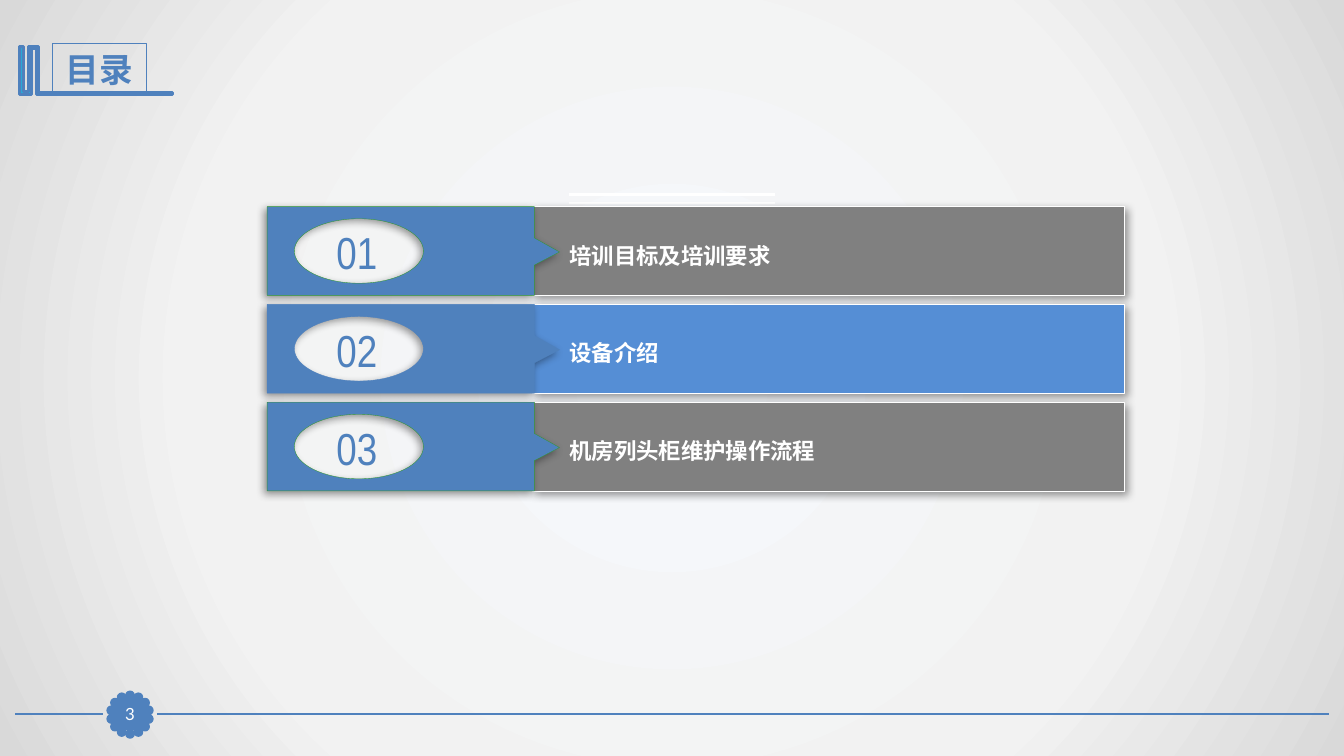
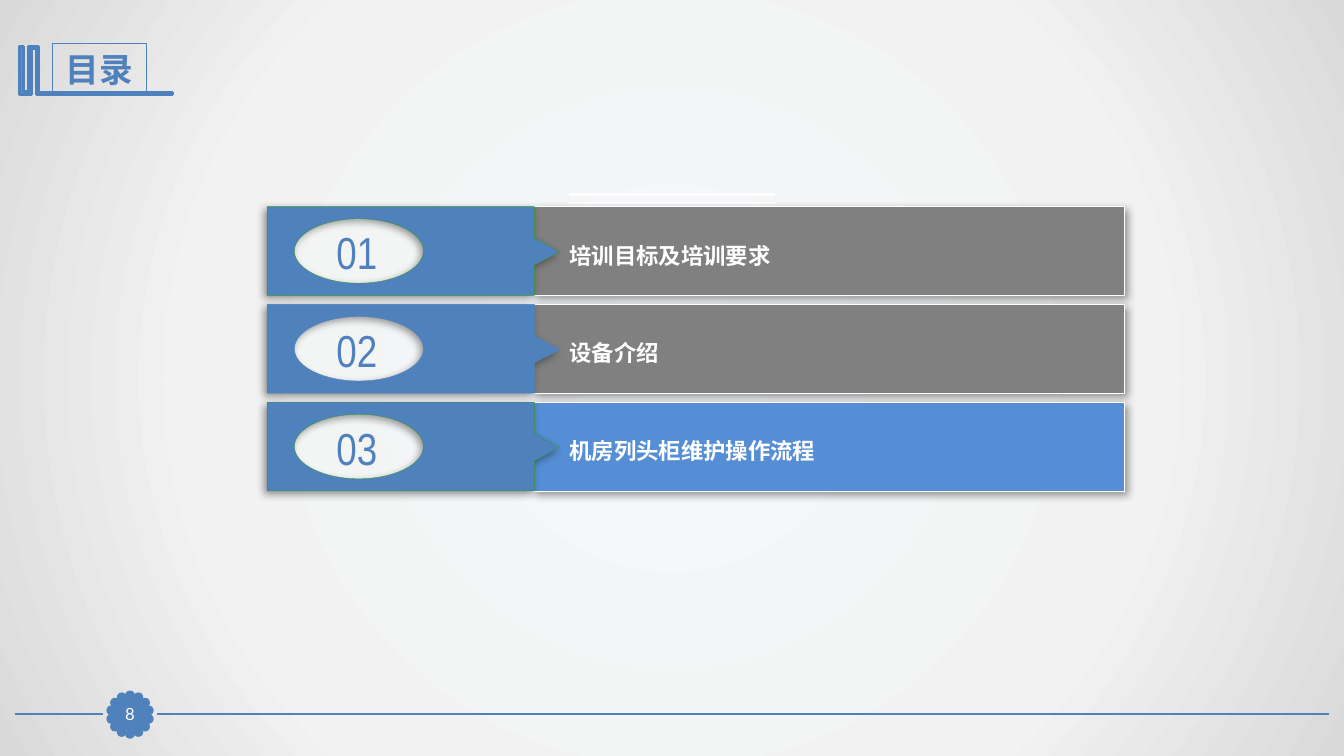
from math import cos, pi, sin

from lxml import etree
from pptx import Presentation
from pptx.dml.color import RGBColor
from pptx.enum.shapes import MSO_CONNECTOR, MSO_SHAPE
from pptx.enum.text import MSO_ANCHOR, PP_ALIGN
from pptx.oxml import parse_xml
from pptx.oxml.ns import nsdecls, qn
from pptx.util import Inches, Pt

RECT, OVAL = MSO_SHAPE.RECTANGLE, MSO_SHAPE.OVAL
STRAIGHT = MSO_CONNECTOR.STRAIGHT
TOP, MIDDLE = MSO_ANCHOR.TOP, MSO_ANCHOR.MIDDLE
LEFT, CENTER = PP_ALIGN.LEFT, PP_ALIGN.CENTER

BLUE = RGBColor(0x4F, 0x81, 0xBD)
BRIGHT = RGBColor(0x55, 0x8E, 0xD5)
CYAN = RGBColor(0x28, 0xA9, 0xD6)
GRAY = RGBColor(0x80, 0x80, 0x80)
GREEN = RGBColor(0x33, 0x99, 0x33)
WHITE = RGBColor(0xFF, 0xFF, 0xFF)
BACKGROUND = [(0, "F6F9FC"), (63, "F2F2F2"), (100, "D9D9D9")]

NARROW, LATO, CJK = "Arial Narrow", "Lato", "Noto Sans CJK SC"

TITLE = "目录"
AGENDA = [
    ("01", "培训目标及培训要求", LATO, GREEN),
    ("02", "设备介绍", CJK, BLUE),
    ("03", "机房列头柜维护操作流程", CJK, GREEN),
]
SLIDES = [("3", 1), ("8", 2)]

ROW_TOP, ROW_PITCH, ROW_H = 2.05, 0.97, 0.88
TAG_LEFT, TAG_RIGHT, TAG_TIP = 2.65, 5.3, 5.55
BAR_LEFT, BAR_W = 5.28, 5.87
HOLE_DX, HOLE_DY, HOLE_RX, HOLE_RY = 0.91, 0.44, 0.64, 0.32
CURVE = 0.55
BADGE_X, BADGE_Y, BADGE_R, PETAL, PETALS = 1.29, 7.09, 0.19, 0.07, 14
FOOTER_Y = 7.08
BRACKET = [
    (0.37, 0.46), (0.38, 0.46), (0.38, 0.92), (1.71, 0.92), (1.71, 0.94),
    (0.36, 0.94), (0.36, 0.48), (0.31, 0.48), (0.31, 0.94), (0.19, 0.94),
    (0.19, 0.46), (0.23, 0.46), (0.23, 0.91), (0.28, 0.91), (0.28, 0.46),
]


def set_background(master):
    master.background.fill.gradient()
    old = master.element.find(".//" + qn("a:gradFill"))
    stops = "".join(
        f'<a:gs pos="{pos * 1000}"><a:srgbClr val="{color}"/></a:gs>'
        for pos, color in BACKGROUND
    )
    old.getparent().replace(old, parse_xml(
        f'<a:gradFill {nsdecls("a")} rotWithShape="1"><a:gsLst>{stops}</a:gsLst>'
        '<a:path path="circle"><a:fillToRect l="50000" t="50000" r="50000" b="50000"/>'
        '</a:path></a:gradFill>'
    ))


def style(sp, fill, line, width, shadow=None):
    sp.shadow.inherit = False
    if fill is None:
        sp.fill.background()
    else:
        sp.fill.solid()
        sp.fill.fore_color.rgb = fill
    sp.line.color.rgb = line
    sp.line.width = Pt(width)
    if shadow is not None:
        effects = sp._element.spPr.find(qn("a:effectLst"))
        effects.append(parse_xml(
            f'<a:outerShdw {nsdecls("a")} blurRad="{Pt(6)}" dist="{Pt(3)}" '
            f'dir="{shadow * 60000}" algn="ctr" rotWithShape="0">'
            '<a:srgbClr val="000000"><a:alpha val="40000"/></a:srgbClr></a:outerShdw>'
        ))
    return sp


def add_shape(shapes, kind, x, y, w, h, **fmt):
    sp = shapes.add_shape(kind, Inches(x), Inches(y), Inches(w), Inches(h))
    return style(sp, **fmt)


def add_outline(shapes, corners, **fmt):
    points = [(Inches(x), Inches(y)) for x, y in corners]
    builder = shapes.build_freeform(*points[0])
    builder.add_line_segments(points[1:], close=True)
    return style(builder.convert_to_shape(), **fmt)


def cut_oval(sp, cx, cy, rx, ry):
    outline = sp._element.find(".//" + qn("a:path"))

    def append(tag, *points):
        step = etree.SubElement(outline, qn(tag))
        for x, y in points:
            pt = etree.SubElement(step, qn("a:pt"))
            pt.set("x", str(Inches(cx + x * rx)))
            pt.set("y", str(Inches(cy + y * ry)))

    x, y = 0, -1
    append("a:moveTo", (x, y))
    for _ in range(4):
        nx, ny = y, -x
        append("a:cubicBezTo", (x + CURVE * nx, y + CURVE * ny),
               (nx + CURVE * x, ny + CURVE * y), (nx, ny))
        x, y = nx, ny
    etree.SubElement(outline, qn("a:close"))


def add_line(shapes, x1, x2, y, color, width):
    c = shapes.add_connector(STRAIGHT, Inches(x1), Inches(y), Inches(x2), Inches(y))
    c.line.color.rgb = color
    c.line.width = Pt(width)
    etree.SubElement(c._element.spPr, qn("a:effectLst"))


def set_text(sp, text, size, font, color, bold=False, align=CENTER, anchor=MIDDLE, inset=None):
    tf = sp.text_frame
    tf.word_wrap = True
    tf.vertical_anchor = anchor
    if inset is not None:
        tf.margin_left = tf.margin_right = tf.margin_top = tf.margin_bottom = Inches(inset)
    p = tf.paragraphs[0]
    p.alignment = align
    r = p.add_run()
    r.text = text
    r.font.size = Pt(size)
    r.font.name = font
    r.font.bold = bold
    r.font.color.rgb = color
    etree.SubElement(r.font._element, qn("a:ea")).set("typeface", CJK)


def add_textbox(shapes, x, y, w, h, text, **fmt):
    set_text(shapes.add_textbox(Inches(x), Inches(y), Inches(w), Inches(h)), text, **fmt)


def add_frame(s, layout):
    add_line(s.shapes, 13.18, 1.56, FOOTER_Y, BLUE, 1.25)
    add_line(s.shapes, 1.02, 0.15, FOOTER_Y, BLUE, 1.25)
    petals = s.shapes.add_group_shape().shapes
    for i in range(PETALS):
        angle = 2 * pi * i / PETALS
        x = BADGE_X + BADGE_R * sin(angle) - PETAL / 2
        y = BADGE_Y - BADGE_R * cos(angle) - PETAL / 2
        add_shape(petals, OVAL, x, y, PETAL, PETAL, fill=BLUE, line=BLUE, width=2)
    add_outline(s.shapes, BRACKET, fill=CYAN, line=BLUE, width=2)
    title = add_shape(s.shapes, RECT, 0.52, 0.43, 0.93, 0.51, fill=None, line=BLUE, width=0.75)
    set_text(title, TITLE, size=24, font=NARROW, color=BLUE, bold=True)
    for sp in list(s.shapes):
        layout.shapes._spTree.append(sp._element)


def add_badge(s, number):
    badge = add_shape(s.shapes, RECT, 1.13, 6.93, 0.32, 0.31, fill=BLUE, line=BLUE, width=0.75)
    set_text(badge, number, size=12, font=LATO, color=WHITE, inset=0)


def add_row(s, top, number, label, font, edge, active):
    shapes = s.shapes.add_group_shape().shapes
    add_shape(shapes, RECT, BAR_LEFT, top, BAR_W, ROW_H,
              fill=BRIGHT if active else GRAY, line=WHITE, width=0.25, shadow=45)
    corners = [
        (TAG_LEFT, top), (TAG_RIGHT, top), (TAG_RIGHT, top + 0.31), (TAG_TIP, top + 0.45),
        (TAG_RIGHT, top + 0.58), (TAG_RIGHT, top + ROW_H), (TAG_LEFT, top + ROW_H),
    ]
    tag = add_outline(shapes, corners, fill=BLUE, line=edge, width=0.25, shadow=135)
    cut_oval(tag, HOLE_DX, HOLE_DY, HOLE_RX, HOLE_RY)
    add_textbox(shapes, 3.04, top + 0.13, 1, 0.64, number, size=32, font=NARROW, color=BLUE)
    add_textbox(shapes, TAG_TIP, top + 0.3, 5.61, 0.37, label, size=16, font=font,
                color=WHITE, bold=True, align=LEFT, anchor=TOP)


def main():
    prs = Presentation()
    prs.slide_width, prs.slide_height = Inches(13.33), Inches(7.5)
    set_background(prs.slide_master)
    layout = prs.slide_layouts[6]
    for sp in list(layout.placeholders):
        sp._element.getparent().remove(sp._element)
    slides = [prs.slides.add_slide(layout) for _ in SLIDES]
    add_frame(slides[0], layout)
    for s, (number, active) in zip(slides, SLIDES):
        add_badge(s, number)
        for y in (1.93, 2.01):
            add_line(s.shapes, 5.64, 7.69, y, WHITE, 1.5)
        for i, item in enumerate(AGENDA):
            add_row(s, ROW_TOP + i * ROW_PITCH, *item, active=i == active)
    prs.save("out.pptx")


if __name__ == "__main__":
    main()
